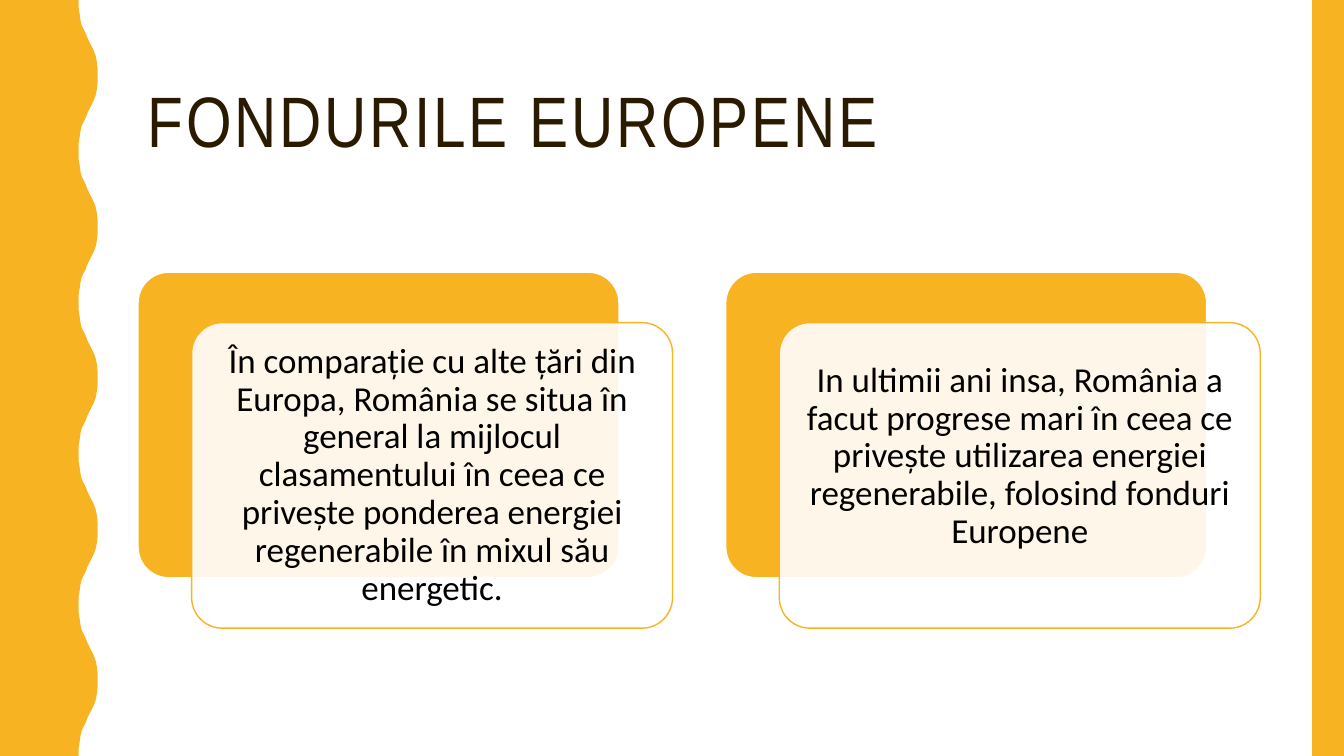
from dataclasses import dataclass

import pptx
import pptx.dml.color
import pptx.enum.shapes
import pptx.enum.text
import pptx.oxml
import pptx.util

Cm = pptx.util.Cm
Pt = pptx.util.Pt
MSO_SHAPE = pptx.enum.shapes.MSO_SHAPE
PP_ALIGN = pptx.enum.text.PP_ALIGN
MSO_ANCHOR = pptx.enum.text.MSO_ANCHOR

COLORS = {"gold": "F8B323", "brown": "2A1A00", "white": "FFFFFF", "black": "000000"}
SLIDE_W, SLIDE_H = 33.87, 19.05
WAVES = 5
PERIOD = SLIDE_H / WAVES
# Trough to crest of one wave, as (x, y) in cm
HALF_WAVE = [
    (1.98, 0), (1.98, 0.18), (2.01, 0.36), (2.03, 0.51), (2.06, 0.64),
    (2.11, 0.74), (2.16, 0.84), (2.21, 0.97), (2.26, 1.07), (2.31, 1.17),
    (2.36, 1.27), (2.41, 1.4), (2.44, 1.55), (2.46, 1.73), (2.46, 1.9),
]
CARD_W, CARD_H = 12.12, 7.7
CARD_TOP = 6.86
PANEL_DX, PANEL_DY = 1.35, 1.27
INSET = 0.25


@dataclass
class Card:
    left: float
    text: str
    bottom_inset: float = INSET


CARDS = [
    Card(3.48, "În comparație cu alte țări din Europa, România se situa în general "
               "la mijlocul clasamentului în ceea ce privește ponderea energiei "
               "regenerabile în mixul său energetic."),
    Card(18.29, "In ultimii ani insa, România a facut progrese mari în ceea ce "
                "privește utilizarea energiei regenerabile, folosind fonduri Europene",
         bottom_inset=1.2),
]


def rgb(name: str) -> pptx.dml.color.RGBColor:
    return pptx.dml.color.RGBColor.from_string(COLORS[name])


def paint(sp, fill: str, line: str | None = None) -> None:
    sp.shadow.inherit = False
    sp.fill.solid()
    sp.fill.fore_color.rgb = rgb(fill)
    if line:
        sp.line.color.rgb = rgb(line)
        sp.line.width = Pt(1)
    else:
        sp.line.fill.background()


def add_text(sp, text: str, font: str, size: float, color: str, align: PP_ALIGN):
    tf = sp.text_frame
    tf.word_wrap = True
    tf.vertical_anchor = MSO_ANCHOR.MIDDLE
    p = tf.paragraphs[0]
    p.alignment = align
    p.line_spacing = 0.9
    r = p.add_run()
    r.text = text
    r.font.name = font
    r.font.size = Pt(size)
    r.font.color.rgb = rgb(color)
    return r


def add_wave(s) -> None:
    wave = HALF_WAVE + [(x, PERIOD - y) for x, y in reversed(HALF_WAVE)]
    edge = [(x, y + i * PERIOD) for i in range(WAVES) for x, y in wave]
    points = [(Cm(x), Cm(y)) for x, y in edge + [(0, SLIDE_H)]]
    builder = s.shapes.build_freeform(0, 0)
    builder.add_line_segments(points, close=True)
    paint(builder.convert_to_shape(), "gold")


def add_round_rect(s, left: float, top: float, fill: str, line: str):
    sp = s.shapes.add_shape(MSO_SHAPE.ROUNDED_RECTANGLE,
                            Cm(left), Cm(top), Cm(CARD_W), Cm(CARD_H))
    sp.adjustments[0] = 0.1
    paint(sp, fill, line)
    return sp


def add_card(s, card: Card) -> None:
    add_round_rect(s, card.left, CARD_TOP, "gold", "white")
    panel = add_round_rect(s, card.left + PANEL_DX, CARD_TOP + PANEL_DY, "white", "gold")
    # Panel fill is 90% opaque
    clr = panel.fill._xPr.find(".//" + pptx.oxml.ns.qn("a:srgbClr"))
    alpha = pptx.oxml.parse_xml(
        f'<a:alpha {pptx.oxml.ns.nsdecls("a")} val="90000"/>')
    clr.append(alpha)
    tf = panel.text_frame
    tf.margin_left = tf.margin_right = tf.margin_top = Cm(INSET)
    tf.margin_bottom = Cm(card.bottom_inset)
    add_text(panel, card.text, "Calibri", 25, "black", PP_ALIGN.CENTER)


def main() -> None:
    prs = pptx.Presentation()
    prs.slide_width, prs.slide_height = Cm(SLIDE_W), Cm(SLIDE_H)
    s = prs.slides.add_slide(prs.slide_layouts[6])
    s.background.fill.solid()
    s.background.fill.fore_color.rgb = rgb("white")

    # Title
    title = s.shapes.add_textbox(Cm(3.48), Cm(1.07), Cm(28.27), Cm(4.14))
    r = add_text(title, "FONDURILE EUROPENE", "Arial Narrow", 51, "brown", PP_ALIGN.LEFT)
    r.font._element.set("spc", "200")

    # Side bands
    add_wave(s)
    band = s.shapes.add_shape(MSO_SHAPE.RECTANGLE, Cm(33.07), 0, Cm(0.8), Cm(SLIDE_H))
    paint(band, "gold")

    # Cards
    for card in CARDS:
        add_card(s, card)

    prs.save("out.pptx")


if __name__ == "__main__":
    main()
